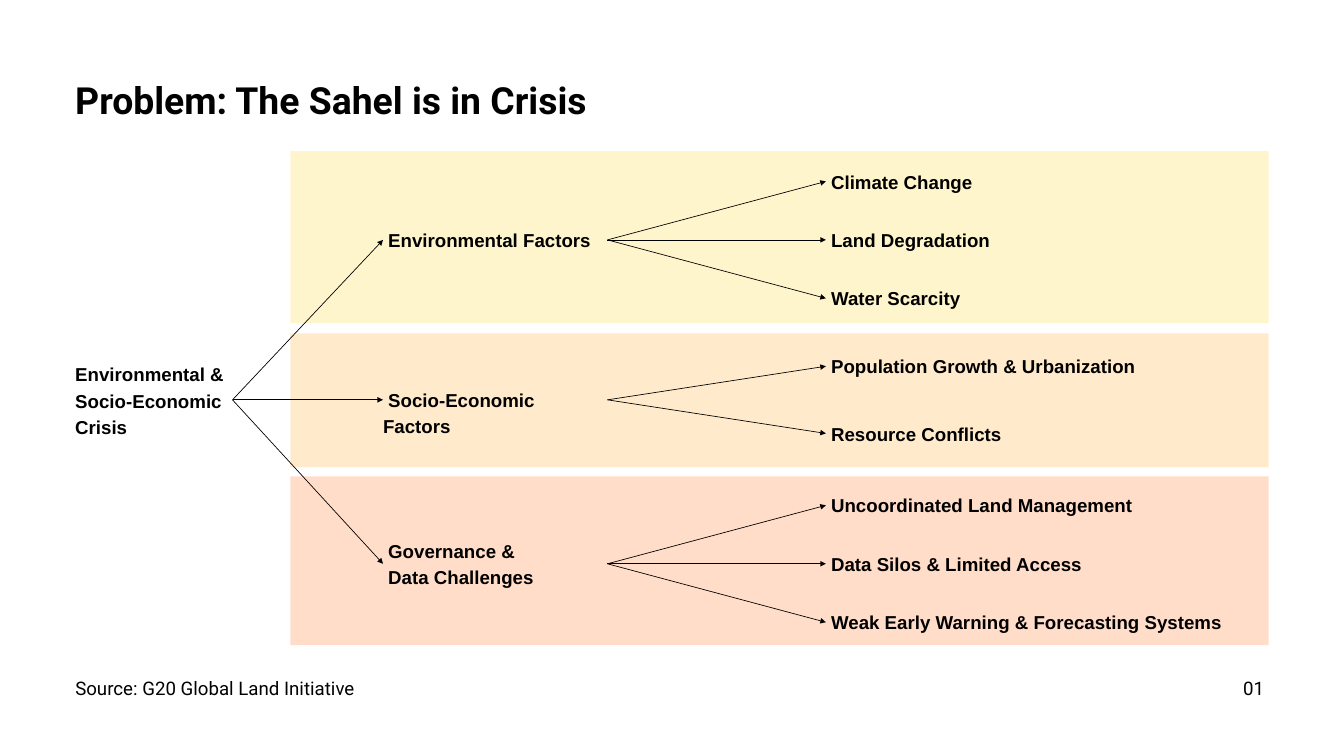
from lxml import etree
from pptx import Presentation
from pptx.dml.color import RGBColor
from pptx.enum.shapes import MSO_CONNECTOR, MSO_SHAPE
from pptx.enum.text import MSO_AUTO_SIZE
from pptx.oxml.ns import qn
from pptx.util import Inches, Pt

BLACK = "000000"
MARGIN = 1.12
BAND_X, BAND_W = 4.32, 14.56
ROOT_END, FACTOR_X, FACTOR_END, CAUSE_X = 3.46, 5.7, 9.04, 12.29
ROOT_Y = 5.95
LINE_OFFSET = 0.22  # from the top of a one-line label to its arrow

# band top, band height, colour, arrow y, label lines, gap between causes, causes
BRANCHES = [
    (2.25, 2.56, "FFDE59", 3.57, [" Environmental Factors"], 0.87,
     [" Climate Change", " Land Degradation", " Water Scarcity"]),
    (4.96, 1.99, "FFBD59", 5.95, [" Socio-Economic Factors"], 1.0,
     [" Population Growth & Urbanization", " Resource Conflicts"]),
    (7.09, 2.51, "FF914D", 8.39, [" Governance &", " Data Challenges"], 0.87,
     [" Uncoordinated Land Management", " Data Silos & Limited Access",
      " Weak Early Warning & Forecasting Systems"]),
]


def rgb(color):
    return RGBColor.from_string(color)


def add_band(slide, y, h, color):
    """Add a background band at 30 % opacity."""
    s = slide.shapes.add_shape(MSO_SHAPE.RECTANGLE, Inches(BAND_X), Inches(y),
                               Inches(BAND_W), Inches(h))
    s.shadow.inherit = False
    s.line.fill.background()
    s.fill.solid()
    s.fill.fore_color.rgb = rgb(color)
    clr = s.fill._xPr.find(".//" + qn("a:srgbClr"))
    etree.SubElement(clr, qn("a:alpha"), val="30000")


def add_text(slide, x, y, w, h, lines, font="Arial", size=20, bold=True):
    s = slide.shapes.add_textbox(Inches(x), Inches(y), Inches(w), Inches(h))
    tf = s.text_frame
    tf.margin_left = tf.margin_top = tf.margin_right = tf.margin_bottom = 0
    tf.word_wrap = True
    tf.auto_size = MSO_AUTO_SIZE.SHAPE_TO_FIT_TEXT
    tf.text = "\n".join(lines)
    for p in tf.paragraphs:
        p.line_spacing = Pt(size * 1.4)
        p.font.name = font
        p.font.size = Pt(size)
        p.font.bold = bold
        p.font.color.rgb = rgb(BLACK)


def add_arrow(slide, x1, y1, x2, y2):
    c = slide.shapes.add_connector(MSO_CONNECTOR.STRAIGHT, Inches(x1), Inches(y1),
                                   Inches(x2), Inches(y2))
    c.line.color.rgb = rgb(BLACK)
    c.line.width = Pt(0.75)
    etree.SubElement(c.line._get_or_add_ln(), qn("a:tailEnd"), type="triangle")
    etree.SubElement(c._element.spPr, qn("a:effectLst"))


def add_branch(slide, y, label, gap, causes):
    """Add a factor with its arrow from the root and its fan of causes."""
    add_arrow(slide, ROOT_END, ROOT_Y, FACTOR_X, y)
    h = 0.38 * len(label)
    add_text(slide, FACTOR_X, y - h / 2 - 0.03, FACTOR_END - FACTOR_X, h, label)
    for i, cause in enumerate(causes):
        cause_y = y + (i - (len(causes) - 1) / 2) * gap
        add_arrow(slide, FACTOR_END, y, CAUSE_X, cause_y)
        add_text(slide, CAUSE_X, cause_y - LINE_OFFSET, 6.21, 0.38, [cause])


def main():
    prs = Presentation()
    prs.slide_width, prs.slide_height = Inches(20), Inches(11.25)
    slide = prs.slides.add_slide(prs.slide_layouts[6])

    add_text(slide, MARGIN, 1.03, 17.07, 0.75, ["Problem: The Sahel is in Crisis"],
             font="Roboto", size=40)
    for top, height, color, *_ in BRANCHES:
        add_band(slide, top, height, color)
    add_text(slide, MARGIN, 5.35, ROOT_END - MARGIN, 1.15,
             ["Environmental & Socio-Economic Crisis"])
    for _, _, _, y, label, gap, causes in BRANCHES:
        add_branch(slide, y, label, gap, causes)
    add_text(slide, MARGIN, 10.02, 4.39, 0.38, ["Source: G20 Global Land Initiative"],
             font="Roboto", bold=False)
    add_text(slide, 18.5, 10.02, 0.38, 0.38, ["01"], font="Roboto", bold=False)

    prs.save("out.pptx")


if __name__ == "__main__":
    main()
